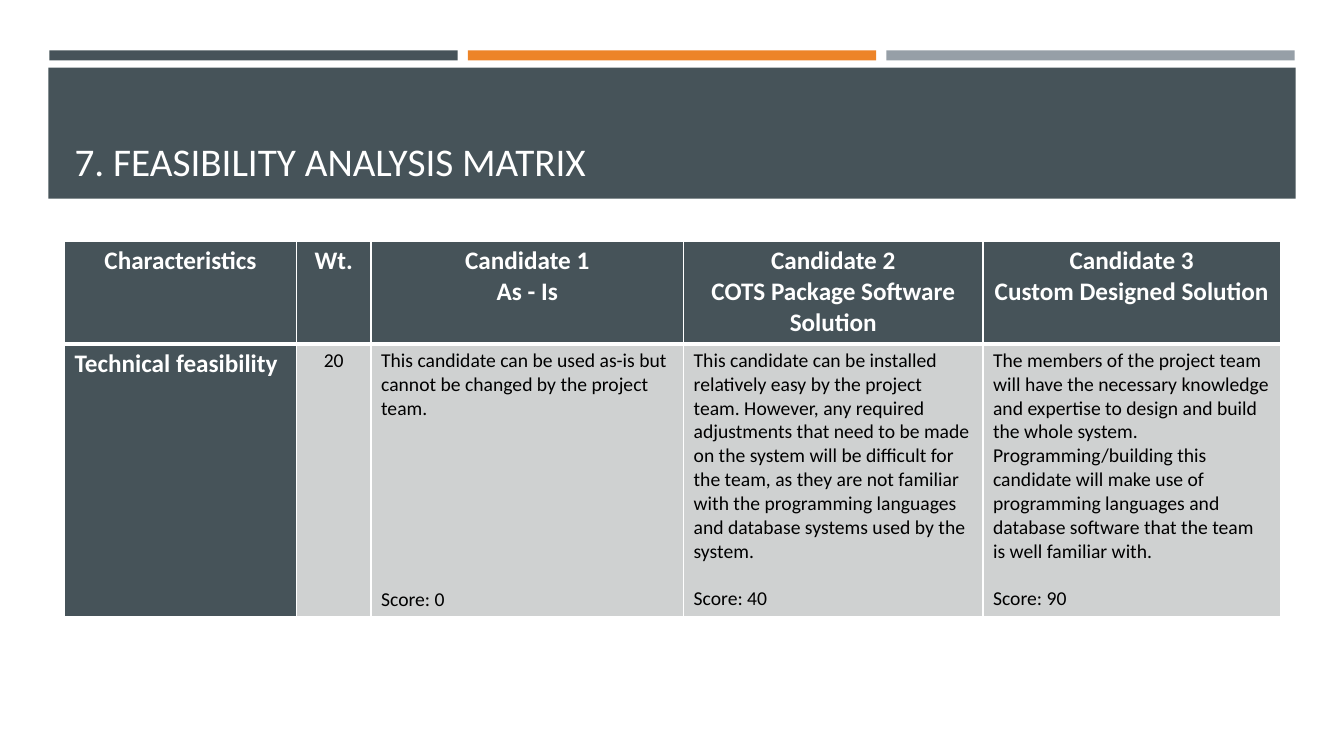
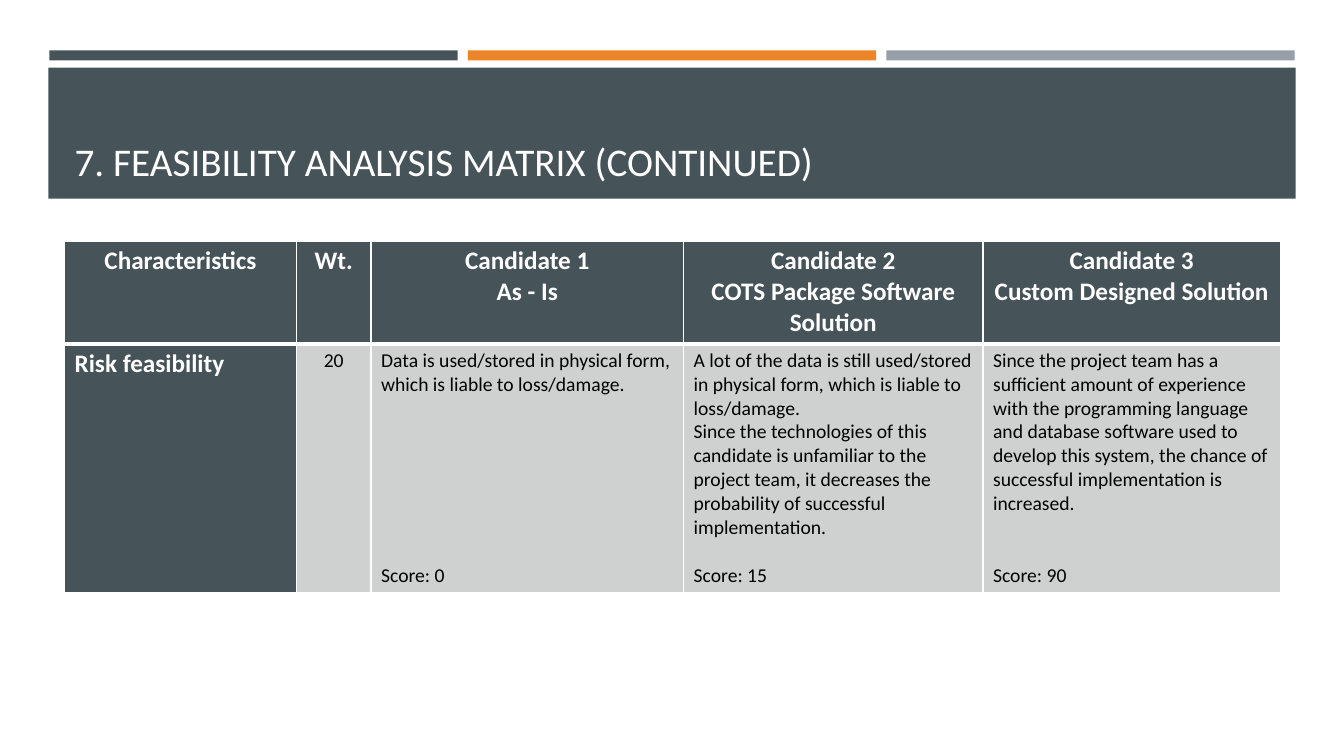
from dataclasses import dataclass

from lxml import etree
from pptx import Presentation
from pptx.dml.color import RGBColor
from pptx.enum.shapes import MSO_SHAPE
from pptx.enum.text import MSO_ANCHOR, MSO_AUTO_SIZE, PP_ALIGN
from pptx.oxml.ns import qn
from pptx.slide import Slide, SlideLayout
from pptx.table import _Cell
from pptx.text.text import TextFrame
from pptx.util import Inches, Pt

RECT = MSO_SHAPE.RECTANGLE
LEFT, CENTER = PP_ALIGN.LEFT, PP_ALIGN.CENTER
BOTTOM, NO_FIT = MSO_ANCHOR.BOTTOM, MSO_AUTO_SIZE.NONE


@dataclass(frozen=True)
class Theme:
    font: str = "Calibri"
    dark: str = "465359"
    orange: str = "ED8428"
    gray: str = "969FA7"
    pale: str = "CFD1D1"
    white: str = "FFFFFF"
    black: str = "000000"
    title: float = 28
    head: float = 18
    body: float = 14
    line: float = 17.1


@dataclass(frozen=True)
class Band:
    left: float
    top: float
    width: float
    height: float
    fill: str


@dataclass(frozen=True)
class Style:
    size: float
    color: str
    bold: bool
    align: PP_ALIGN


@dataclass(frozen=True)
class Entry:
    paras: tuple[str, ...]
    score: int
    gap: int


@dataclass(frozen=True)
class Page:
    title: str
    label: str
    weight: int
    height: float
    entries: tuple[Entry, ...]


THEME = Theme()
BAR, STEP = 4.05, 4.15
BANDS = [
    Band(0.49 + i * STEP, 0.5, BAR, 0.1, fill)
    for i, fill in enumerate((THEME.dark, THEME.orange, THEME.gray))
] + [Band(0.48, 0.67, 12.37, 1.3, THEME.dark)]

TITLE = Style(THEME.title, THEME.white, False, LEFT)
HEAD = Style(THEME.head, THEME.white, True, CENTER)
LABEL = Style(THEME.head, THEME.white, True, LEFT)
WEIGHT = Style(THEME.body, THEME.black, False, CENTER)
BODY = Style(THEME.body, THEME.black, False, LEFT)

COLS = (2.3, 0.74, 3.1, 2.97, 2.95)
EDGE, WIDTH, TOP, HEADER = 0.64, 12.06, 2.39, 1.02
HEADS = (
    ("Characteristics",),
    ("Wt.",),
    ("Candidate 1", "As - Is"),
    ("Candidate 2", "COTS Package Software Solution"),
    ("Candidate 3", "Custom Designed Solution"),
)

PAGES = (
    Page("7. FEASIBILITY ANALYSIS MATRIX", "Technical feasibility", 20, 2.7, (
        Entry(("This candidate can be used as-is but cannot be changed by the "
               "project team.",), 0, 7),
        Entry(("This candidate can be installed relatively easy by the project "
               "team. However, any required adjustments that need to be made on "
               "the system will be difficult for the team, as they are not "
               "familiar with the programming languages and database systems "
               "used by the system.",), 40, 1),
        Entry(("The members of the project team will have the necessary "
               "knowledge and expertise to design and build the whole system.",
               "Programming/building this candidate will make use of "
               "programming languages and database software that the team is "
               "well familiar with."), 90, 1),
    )),
    Page("7. FEASIBILITY ANALYSIS MATRIX (CONTINUED)", "Risk feasibility", 20, 2.46, (
        Entry(("Data is used/stored in physical form, which is liable to "
               "loss/damage.",), 0, 7),
        Entry(("A lot of the data is still used/stored in physical form, which "
               "is liable to loss/damage.",
               "Since the technologies of this candidate is unfamiliar to the "
               "project team, it decreases the probability of successful "
               "implementation."), 15, 1),
        Entry(("Since the project team has a sufficient amount of experience "
               "with the programming language and database software used to "
               "develop this system, the chance of successful implementation "
               "is increased.",), 90, 2),
    )),
)


def color(value: str) -> RGBColor:
    return RGBColor.from_string(value)


def write(frame: TextFrame, paras: tuple[str, ...], style: Style) -> None:
    frame.text = "\n".join(paras)
    for para in frame.paragraphs:
        para.alignment = style.align
        for run in para.runs:
            font = run.font
            font.name, font.size, font.bold = THEME.font, Pt(style.size), style.bold
            font.color.rgb = color(style.color)


def add_bands(slide: Slide, layout: SlideLayout) -> None:
    tree = layout.shapes.element
    for spot, band in enumerate(BANDS, start=2):
        shape = slide.shapes.add_shape(
            RECT, Inches(band.left), Inches(band.top),
            Inches(band.width), Inches(band.height))
        shape.shadow.inherit = False
        shape.fill.solid()
        shape.fill.fore_color.rgb = color(band.fill)
        shape.line.fill.background()
        tree.insert(spot, shape.element)


def add_title(slide: Slide, text: str) -> None:
    title = slide.shapes.title
    title.left, title.top = Inches(EDGE), Inches(0.77)
    title.width, title.height = Inches(WIDTH), Inches(1.11)
    frame = title.text_frame
    frame.auto_size, frame.word_wrap = NO_FIT, True
    frame.vertical_anchor = BOTTOM
    write(frame, (text,), TITLE)


def set_cell(cell: _Cell, paras: tuple[str, ...], style: Style,
             fill: str, top: float, base: float) -> None:
    props = cell._tc.get_or_add_tcPr()
    for side, width in (("L", 1), ("R", 1), ("T", top), ("B", base)):
        line = etree.SubElement(props, qn(f"a:ln{side}"), w=str(Pt(width)))
        solid = etree.SubElement(line, qn("a:solidFill"))
        etree.SubElement(solid, qn("a:srgbClr"), val=THEME.white)
    cell.fill.solid()
    cell.fill.fore_color.rgb = color(fill)
    write(cell.text_frame, paras, style)


def add_matrix(slide: Slide, page: Page) -> None:
    frame = slide.shapes.add_table(
        2, len(COLS), Inches(EDGE), Inches(TOP),
        Inches(WIDTH), Inches(HEADER + page.height))
    table = frame.table
    table.horz_banding = False
    for col, width in zip(table.columns, COLS):
        col.width = Inches(width)
    for row, height in zip(table.rows, (HEADER, page.height)):
        row.height = Inches(height)
    for i, paras in enumerate(HEADS):
        set_cell(table.cell(0, i), paras, HEAD, THEME.dark, 1, 3)
    set_cell(table.cell(1, 0), (page.label,), LABEL, THEME.dark, 3, 1)
    set_cell(table.cell(1, 1), (str(page.weight),), WEIGHT, THEME.pale, 3, 1)
    for i, entry in enumerate(page.entries, start=2):
        cell = table.cell(1, i)
        paras = (*entry.paras, f"Score: {entry.score}")
        set_cell(cell, paras, BODY, THEME.pale, 3, 1)
        cell.text_frame.paragraphs[-1].space_before = Pt(entry.gap * THEME.line)


def main() -> None:
    deck = Presentation()
    deck.slide_width, deck.slide_height = Inches(13.33), Inches(7.5)
    layout = deck.slide_layouts[5]
    for i, page in enumerate(PAGES):
        slide = deck.slides.add_slide(layout)
        if i == 0:
            add_bands(slide, layout)
        add_title(slide, page.title)
        add_matrix(slide, page)
    deck.save("out.pptx")


if __name__ == "__main__":
    main()
